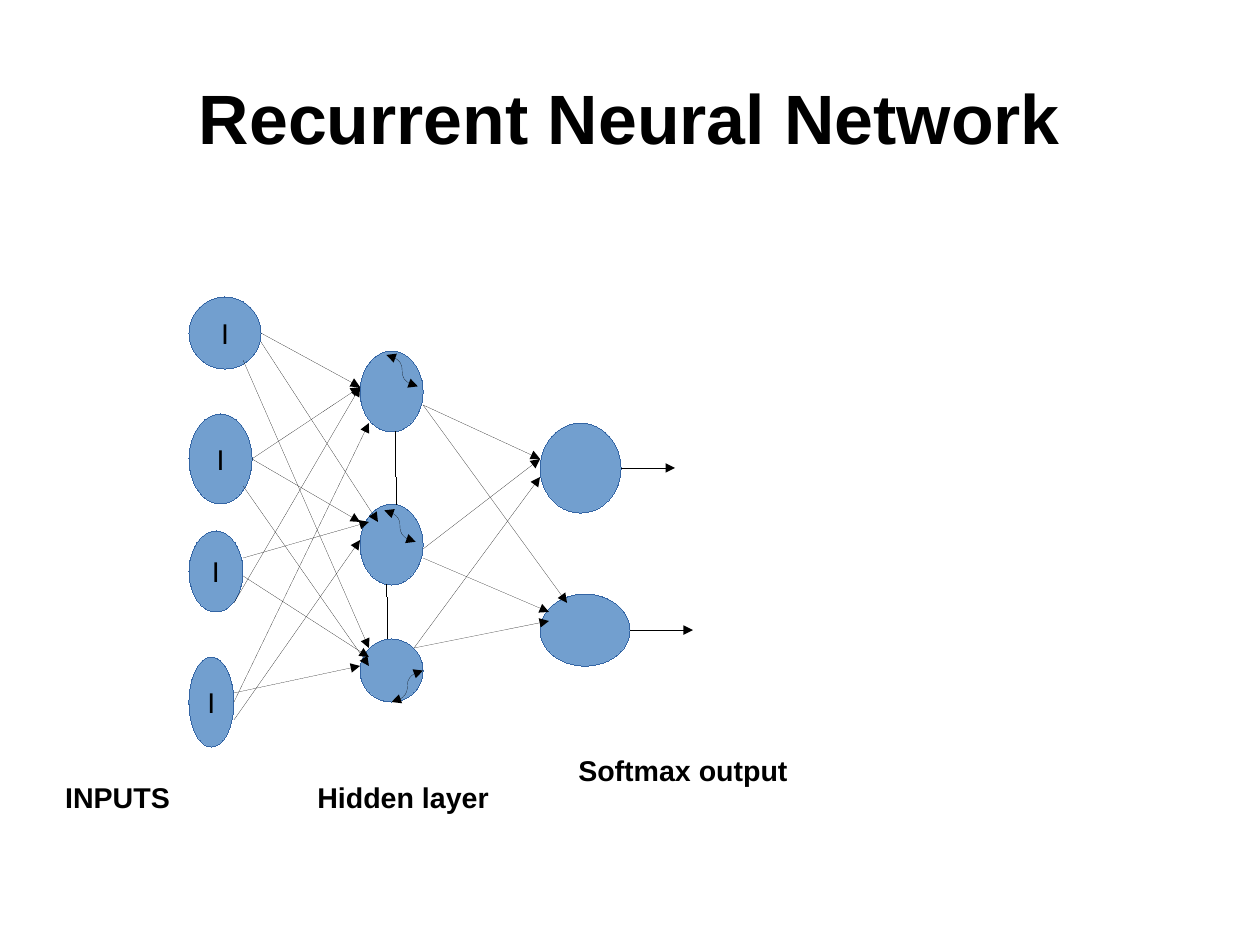
"""Build a slide showing a recurrent neural network."""
from pptx import Presentation
from pptx.dml.color import RGBColor
from pptx.enum.shapes import MSO_CONNECTOR as LINK, MSO_SHAPE
from pptx.enum.text import MSO_ANCHOR as ANCHOR, MSO_AUTO_SIZE, PP_ALIGN as ALIGN
from pptx.oxml.ns import qn
from pptx.util import Pt
from lxml.etree import SubElement

FONT = "Arial"
HAIRLINE = Pt(0.01)
COLORS = {"text": "000000", "link": "000000", "node": "729FCF", "outline": "3465A4"}

LAYERS = [
    (119.06, "I", [(187.1, 45.4, 45.4), (260.8, 39.7, 56.7),
                   (334.5, 34, 51), (413.9, 28.3, 56.7)]),
    (226.8, "", [(221.1, 39.7, 51), (317.5, 39.7, 51), (402.5, 39.7, 39.7)]),
    (340.2, "", [(266.5, 51, 56.7), (374.2, 56.7, 45.4)]),
]
INPUT_ARROWS = [
    (164.4, 209.8, 226.8, 243.8), (164.4, 215.4, 238.1, 328.8),
    (153.1, 226.8, 232.4, 408.2), (158.7, 289.1, 226.8, 243.8),
    (158.7, 289.1, 226.8, 328.8), (153.1, 306.1, 232.4, 419.5),
    (147.4, 379.8, 226.8, 243.8), (153.1, 351.5, 232.4, 328.8),
    (153.1, 362.8, 232.4, 413.9), (147.4, 442.2, 232.4, 266.5),
    (147.4, 453.5, 226.8, 340.2), (147.4, 436.5, 226.8, 419.5),
]
HIDDEN_ARROWS = [
    (266.5, 255.1, 340.2, 289.1), (266.5, 255.1, 357.2, 379.8),
    (266.5, 345.8, 340.2, 289.1), (266.5, 351.5, 345.8, 385.5),
    (260.8, 408.2, 340.2, 300.5), (260.8, 408.2, 345.8, 391.2),
]
OUTPUT_ARROWS = [(391.2, 294.8, 425.2, 294.8), (396.9, 396.9, 436.5, 396.9)]
HIDDEN_LINKS = [(249.1, 272.1, 249.7, 317.5), (243.7, 368.5, 244.1, 402.5)]
LOOPS = [(263.2, 243.4, 243.4, 223.6), (261.9, 341.3, 242.1, 321.5),
         (266.5, 422.4, 246.7, 442.2)]
LABELS = [("INPUTS", 34, 487.6, 130.4), ("Hidden layer", 192.8, 487.6, 141.7),
          ("Softmax output", 357.2, 470.6, 153)]


def color(name):
    """Return a palette color."""
    return RGBColor.from_string(COLORS[name])


def write(frame, text, size, bold, align):
    """Put one formatted paragraph in a text frame."""
    frame.text = text
    para = frame.paragraphs[0]
    para.alignment = align
    para.font.name = FONT
    para.font.size = Pt(size)
    para.font.bold = bold
    para.font.color.rgb = color("text")


def format_title(title, text):
    """Place and fill the title placeholder."""
    title.left, title.top, title.width, title.height = map(Pt, (39.7, 23.7, 714.3, 99.4))
    frame = title.text_frame
    frame.margin_left = frame.margin_right = frame.margin_top = frame.margin_bottom = 0
    frame.vertical_anchor = ANCHOR.MIDDLE
    frame.auto_size = MSO_AUTO_SIZE.NONE
    write(frame, text, 44, True, ALIGN.CENTER)


def add_node(page, left, top, width, height, text):
    """Add one neuron."""
    node = page.shapes.add_shape(MSO_SHAPE.OVAL, Pt(left), Pt(top), Pt(width), Pt(height))
    node.shadow.inherit = False
    node.fill.solid()
    node.fill.fore_color.rgb = color("node")
    node.line.color.rgb = color("outline")
    node.line.width = HAIRLINE
    if text:
        node.text_frame.word_wrap = False
        node.text_frame.vertical_anchor = ANCHOR.MIDDLE
        write(node.text_frame, text, 18, False, ALIGN.CENTER)


def add_link(page, points, kind=LINK.STRAIGHT, ends=()):
    """Add a thin connector with arrowheads at the given ends."""
    link = page.shapes.add_connector(kind, *map(Pt, points))
    link.line.color.rgb = color("link")
    link.line.width = HAIRLINE
    properties = link.element.spPr
    for end in ends:
        SubElement(properties.find(qn("a:ln")), qn(end), type="triangle")
    SubElement(properties, qn("a:effectLst"))


def add_label(page, text, left, top, width):
    """Add a layer caption."""
    box = page.shapes.add_textbox(Pt(left), Pt(top), Pt(width), Pt(27.4))
    box.text_frame.word_wrap = True
    write(box.text_frame, text, 18, True, ALIGN.LEFT)


def main():
    """Create and save the deck."""
    deck = Presentation()
    deck.slide_width, deck.slide_height = Pt(793.7), Pt(595.28)
    page = deck.slides.add_slide(deck.slide_layouts[5])
    format_title(page.shapes.title, "Recurrent Neural Network")
    for left, text, nodes in LAYERS:
        for top, width, height in nodes:
            add_node(page, left, top, width, height, text)
    for points in INPUT_ARROWS + HIDDEN_ARROWS + OUTPUT_ARROWS:
        add_link(page, points, ends=["a:tailEnd"])
    for points in HIDDEN_LINKS:
        add_link(page, points)
    for points in LOOPS:
        add_link(page, points, LINK.CURVE, ["a:headEnd", "a:tailEnd"])
    for label in LABELS:
        add_label(page, *label)
    deck.save("out.pptx")


if __name__ == "__main__":
    main()
